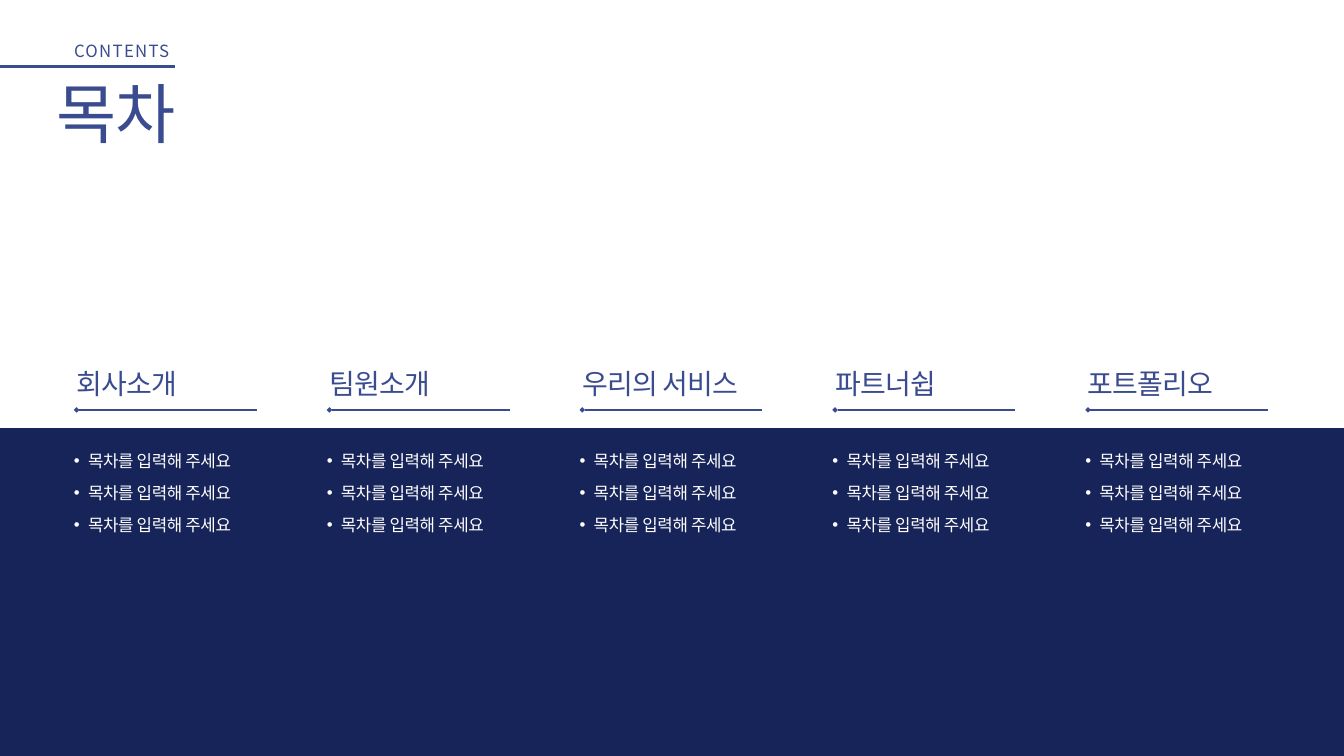
"""Build a contents slide with five headed columns over a dark band."""
from lxml.etree import SubElement
from pptx import Presentation
from pptx.dml.color import RGBColor
from pptx.enum.shapes import MSO_CONNECTOR, MSO_SHAPE
from pptx.enum.text import MSO_ANCHOR, MSO_AUTO_SIZE, PP_ALIGN
from pptx.oxml.ns import qn
from pptx.util import Inches, Pt

COLORS = {"indigo": "3A4C8F", "navy": "172459", "white": "FFFFFF"}
TITLE = "목차"
SUBTITLE = "CONTENTS"
ITEM = "목차를 입력해 주세요"
SECTIONS = [
    ("회사소개", [ITEM] * 3),
    ("팀원소개", [ITEM] * 3),
    ("우리의 서비스", [ITEM] * 3),
    ("파트너쉽", [ITEM] * 3),
    ("포트폴리오", [ITEM] * 3),
]
STYLES = {
    "title": dict(size=70, font="Calibri", color="indigo", spacing=-1.8, leading=77, align=PP_ALIGN.RIGHT),
    "subtitle": dict(size=18, font="Noto Sans CJK KR", color="indigo", spacing=1.4, leading=21.6, align=PP_ALIGN.RIGHT),
    "heading": dict(size=30, font="Calibri", color="indigo", spacing=-0.8, leading=36, align=PP_ALIGN.LEFT),
    "item": dict(size=18, font="Calibri", color="white", spacing=-0.4, leading=34.2, align=PP_ALIGN.LEFT, bullet="•"),
}
SLIDE_WIDTH, SLIDE_HEIGHT = 20, 11.25
COLUMN_LEFT, COLUMN_PITCH = 1.14, 3.7625
RULE_WIDTH, HEADING_WIDTH = 2.68, 3.66
BULLET_OUTDENT = 0.25
BAND_TOP, BAND_BLEED = 6.37, 0.09


def rgb(name):
    return RGBColor.from_string(COLORS[name])


def add_bullet(paragraph, character):
    paragraph.level = 1
    properties = paragraph._p.get_or_add_pPr()
    properties.set("marL", str(Inches(0.42)))
    properties.set("indent", str(Inches(-0.21)))
    SubElement(properties, qn("a:buFont")).set("typeface", "Arial")
    SubElement(properties, qn("a:buChar")).set("char", character)


def write_text(shape, lines, style):
    frame = shape.text_frame
    frame.word_wrap = True
    frame.auto_size = MSO_AUTO_SIZE.NONE
    frame.vertical_anchor = MSO_ANCHOR.TOP
    frame.margin_left = frame.margin_right = frame.margin_top = frame.margin_bottom = 0
    frame.text = "\n".join(lines)
    for paragraph in frame.paragraphs:
        paragraph.alignment = style["align"]
        paragraph.line_spacing = Pt(style["leading"])
        if "bullet" in style:
            add_bullet(paragraph, style["bullet"])
        paragraph.font.size = Pt(style["size"])
        paragraph.font.name = style["font"]
        paragraph.font.color.rgb = rgb(style["color"])
        for run in paragraph.runs:
            run._r.get_or_add_rPr().set("spc", str(round(style["spacing"] * 100)))


def add_text(slide, box, lines, style):
    shape = slide.shapes.add_textbox(*map(Inches, box))
    write_text(shape, lines, style)


def add_rule(slide, left, right, top, width, head=None):
    rule = slide.shapes.add_connector(
        MSO_CONNECTOR.STRAIGHT, Inches(left), Inches(top), Inches(right), Inches(top))
    rule.line.color.rgb = rgb("indigo")
    rule.line.width = Pt(width)
    if head:
        SubElement(rule.line._get_or_add_ln(), qn("a:headEnd")).set("type", head)
    SubElement(rule._element.spPr, qn("a:effectLst"))


def add_band(slide):
    box = (-BAND_BLEED, BAND_TOP, SLIDE_WIDTH + 2 * BAND_BLEED, SLIDE_HEIGHT - BAND_TOP + 0.1)
    band = slide.shapes.add_shape(MSO_SHAPE.RECTANGLE, *map(Inches, box))
    band.shadow.inherit = False
    band.fill.solid()
    band.fill.fore_color.rgb = rgb("navy")
    band.line.fill.background()


def add_title(slide):
    title = slide.shapes.title
    title.left, title.top, title.width, title.height = map(Inches, (-0.13, 1.19, 2.74, 1.1))
    write_text(title, [TITLE], STYLES["title"])


def add_section(slide, left, heading, items):
    add_rule(slide, left, left + RULE_WIDTH, 6.1, 1.5, "diamond")
    add_text(slide, (left, 5.46, HEADING_WIDTH, 0.51), [heading], STYLES["heading"])
    add_text(slide, (left - BULLET_OUTDENT, 6.53, HEADING_WIDTH + BULLET_OUTDENT, 1.38), items, STYLES["item"])


def main():
    presentation = Presentation()
    presentation.slide_width = Inches(SLIDE_WIDTH)
    presentation.slide_height = Inches(SLIDE_HEIGHT)
    slide = presentation.slides.add_slide(presentation.slide_layouts[5])
    add_rule(slide, -0.75, 2.61, 0.99, 2.25)
    add_band(slide)
    add_title(slide)
    add_text(slide, (-0.22, 0.61, 2.74, 0.3), [SUBTITLE], STYLES["subtitle"])
    for column, (heading, items) in enumerate(SECTIONS):
        add_section(slide, COLUMN_LEFT + column * COLUMN_PITCH, heading, items)
    presentation.save("out.pptx")


if __name__ == "__main__":
    main()
